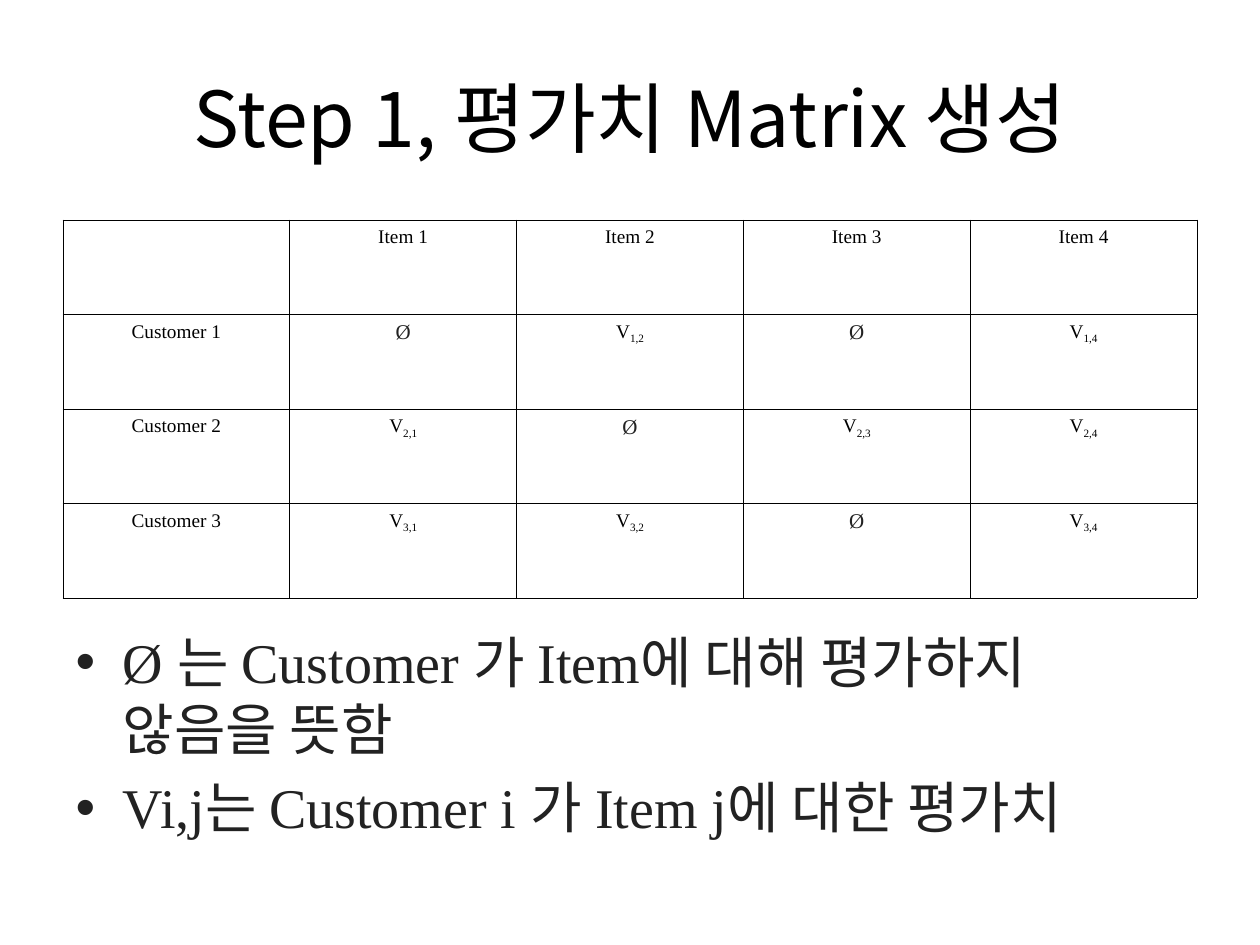
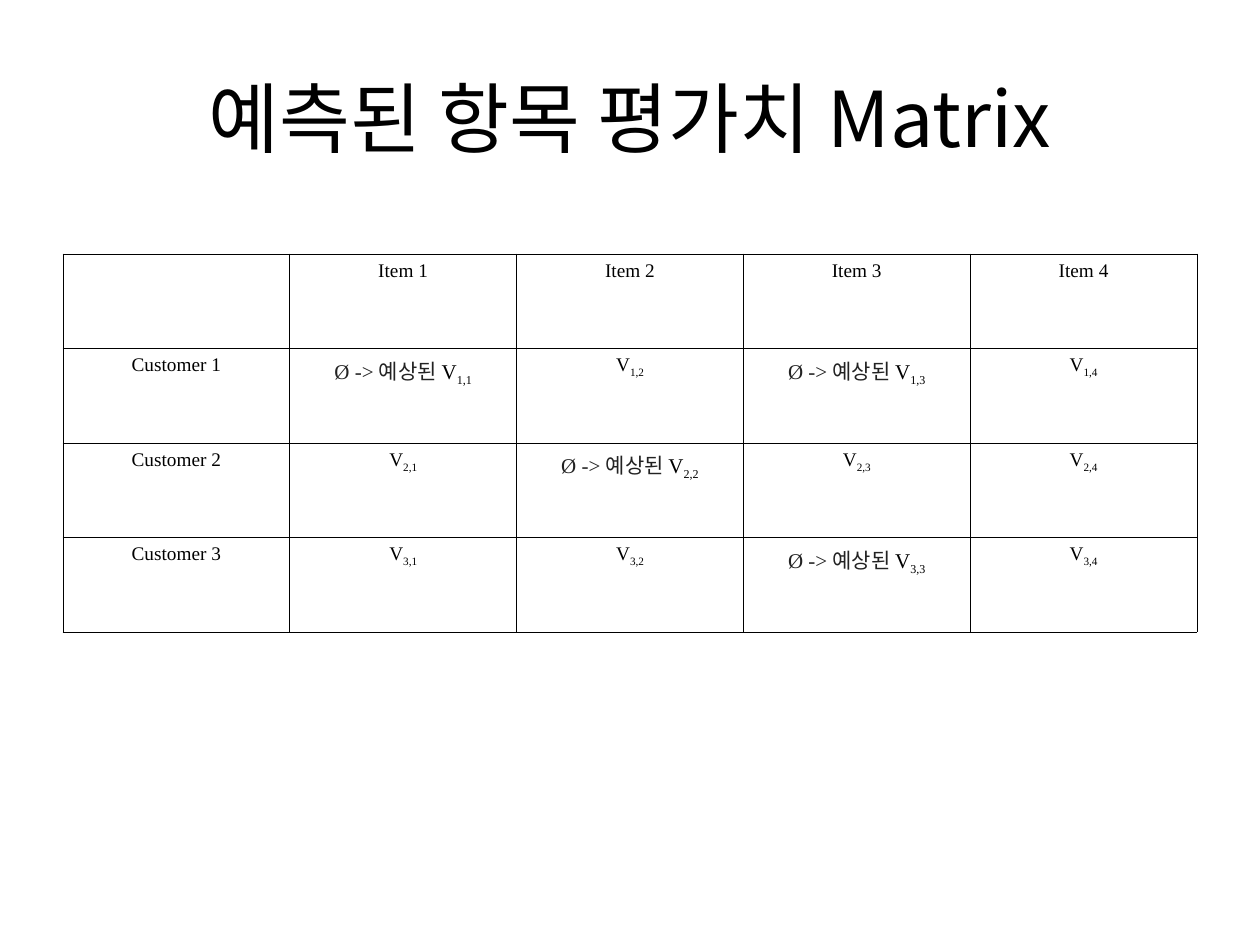
from lxml.etree import SubElement
from pptx import Presentation
from pptx.dml.color import RGBColor
from pptx.enum.text import MSO_ANCHOR, MSO_AUTO_SIZE, PP_ALIGN
from pptx.oxml import parse_xml
from pptx.oxml.ns import nsdecls, qn
from pptx.util import Pt

SERIF, KOREAN = "Times New Roman", "Noto Sans CJK KR"
BLACK, INK = "000000", "222222"
PX = 914400 / 126  # EMU in one px

ITEMS = ["Item 1", "Item 2", "Item 3", "Item 4"]
CUSTOMERS = ["Customer 1", "Customer 2", "Customer 3"]
UNRATED = {(1, 1), (1, 3), (2, 2), (3, 3)}  # (customer, item)

SLIDES = [
    {
        "title": "Step 1, 평가치 Matrix 생성",
        "table_top": 220,
        "predicted": False,
        "notes": [
            "Ø 는 Customer 가 Item에 대해 평가하지 않음을 뜻함",
            "Vi,j는 Customer i 가 Item j에 대한 평가치",
        ],
    },
    {
        "title": "예측된 항목 평가치 Matrix",
        "table_top": 254,
        "predicted": True,
        "notes": [],
    },
]

LEFT, WIDTH = 63, 1134
TITLE_BOX = (LEFT, 38, WIDTH, 157)
NOTES_BOX = (LEFT, 621, WIDTH, 223)
TABLE_HEIGHT = 378


def emu(px):
    return round(px * PX)


def rgb(color):
    return RGBColor.from_string(color)


def place(sp, box):
    sp.left, sp.top, sp.width, sp.height = map(emu, box)


def add_text(p, text, size=11, color=BLACK, font=SERIF, align=None, baseline=0):
    if align is not None:
        p.alignment = align
    r = p.add_run()
    r.text = text
    r.font.size = Pt(size)
    r.font.name = font
    r.font.color.rgb = rgb(color)
    props = r.font._element if hasattr(r.font, "_element") else r._r.get_or_add_rPr()
    SubElement(props, qn("a:ea"), typeface=KOREAN)
    if baseline:
        props.set("baseline", str(baseline * 1000))


def format_cell(cell):
    """Give the cell a thin black frame and no fill."""
    props = cell._tc.get_or_add_tcPr()
    for side in "LRTB":
        props.append(parse_xml(
            f'<a:ln{side} {nsdecls("a")} w="{Pt(0.6)}"><a:solidFill>'
            f'<a:srgbClr val="{BLACK}"/></a:solidFill></a:ln{side}>'))
    cell.fill.background()


def add_rating(p, customer, item, predicted):
    size = 11
    if (customer, item) in UNRATED:
        size = 12
        add_text(p, "Ø -> 예상된 " if predicted else "Ø", size=size, color=INK)
        if not predicted:
            return
    add_text(p, "V", size=size)
    add_text(p, f"{customer},{item}", size=size, baseline=-24)


def add_matrix(s, top, predicted):
    rows, cols = len(CUSTOMERS) + 1, len(ITEMS) + 1
    frame = s.shapes.add_table(rows, cols, *map(emu, (LEFT, top, WIDTH, TABLE_HEIGHT)))
    table = frame.table
    table.first_row = table.horz_banding = False
    for row in range(rows):
        for col in range(cols):
            cell = table.cell(row, col)
            format_cell(cell)
            p = cell.text_frame.paragraphs[0]
            p.alignment = PP_ALIGN.CENTER
            if row and col:
                add_rating(p, row, col, predicted)
            elif row:
                add_text(p, CUSTOMERS[row - 1])
            elif col:
                add_text(p, ITEMS[col - 1])


def add_title(s, text):
    place(s.shapes.title, TITLE_BOX)
    tf = s.shapes.title.text_frame
    tf.auto_size = MSO_AUTO_SIZE.NONE
    tf.vertical_anchor = MSO_ANCHOR.MIDDLE
    add_text(tf.paragraphs[0], text, size=44, font=KOREAN, align=PP_ALIGN.CENTER)


def add_notes(s, lines):
    body = s.placeholders[1]
    place(body, NOTES_BOX)
    tf = body.text_frame
    tf.auto_size = MSO_AUTO_SIZE.NONE
    for i, line in enumerate(lines):
        p = tf.add_paragraph() if i else tf.paragraphs[0]
        add_text(p, line, size=32, color=INK)


def main():
    prs = Presentation()
    prs.slide_width, prs.slide_height = emu(1260), emu(945)
    with_body, title_only = prs.slide_layouts[1], prs.slide_layouts[5]
    for content in SLIDES:
        s = prs.slides.add_slide(with_body if content["notes"] else title_only)
        add_title(s, content["title"])
        if content["notes"]:
            add_notes(s, content["notes"])
        add_matrix(s, content["table_top"], content["predicted"])
    prs.save("out.pptx")


if __name__ == "__main__":
    main()
